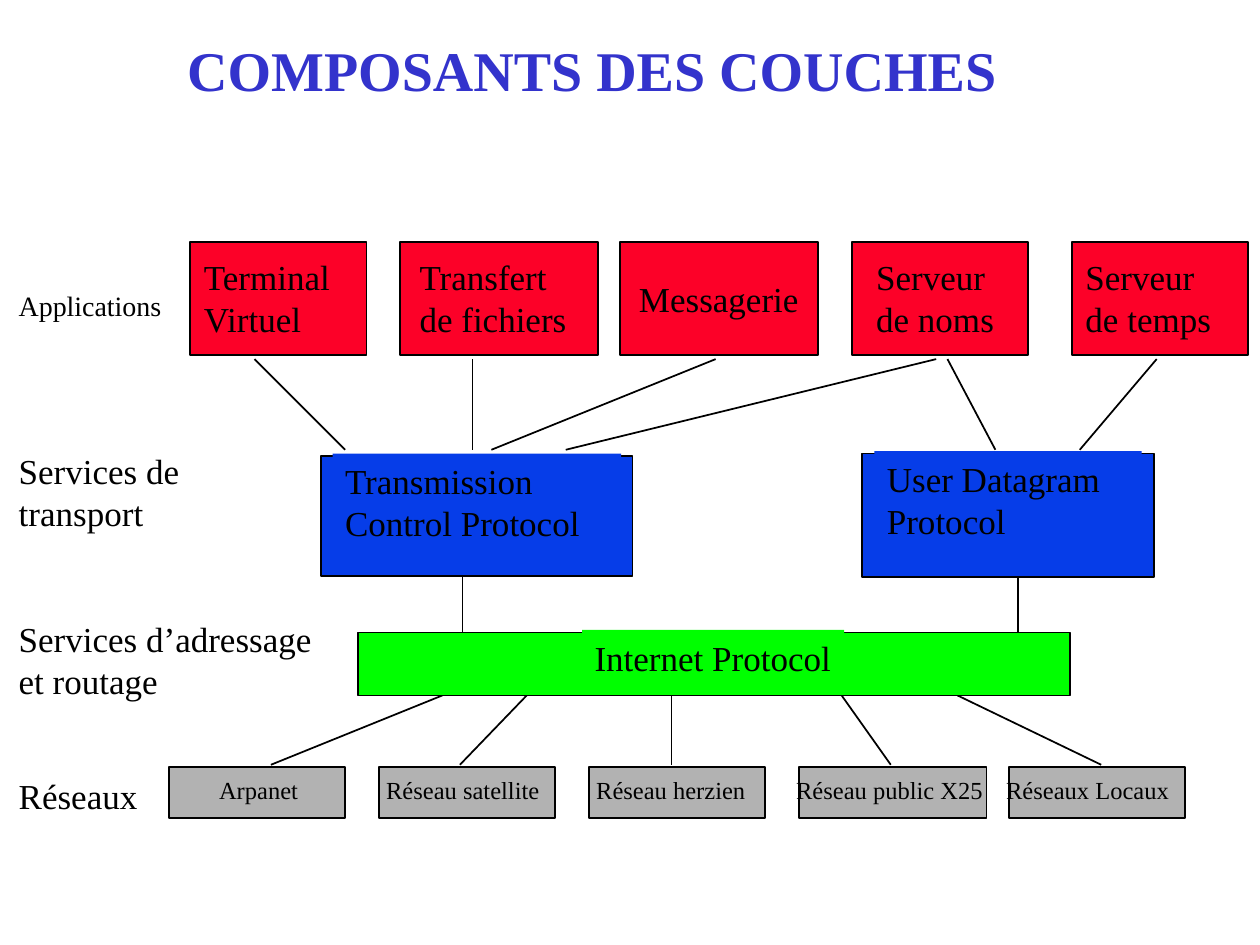
from lxml.etree import SubElement
from pptx import Presentation
from pptx.dml.color import RGBColor
from pptx.enum.shapes import MSO_CONNECTOR, MSO_SHAPE
from pptx.enum.text import MSO_ANCHOR, MSO_AUTO_SIZE, PP_ALIGN
from pptx.oxml.ns import qn
from pptx.util import Inches, Pt

W, H = 10, 7.5
COLUMN = W / 6
FONT = "Times New Roman"
COLORS = {"title": "3333CC", "ink": "000000", "application": "FC0128",
          "transport": "063DE8", "internet": "00FF00", "network": "B2B2B2"}

TITLE = "COMPOSANTS DES COUCHES"

# text, top, width, height, size, wrap
LAYERS = [
    ("Applications", 2.24, 1.35, 0.38, 16, False),
    ("Services de transport", 3.52, 1.62, 0.78, 20, True),
    ("Réseaux", 6.1, 1.15, 0.44, 20, False),
    ("Services d’adressage et routage", 4.85, 2.62, 1.11, 20, True),
]
# text, shift from the column, box width, label width, wrap
APPLICATIONS = [
    ("Terminal Virtuel", 0, 1.4, 1.38, True),
    ("Transfert de fichiers", 0, 1.57, 1.46, True),
    ("Messagerie", 0.08, 1.57, 1.47, False),
    ("Serveur de noms", 0.25, 1.4, 1.21, True),
    ("Serveur de temps", 0.33, 1.4, 1.38, True),
]
# text, box width, label shift from the box, label width, wrap
NETWORKS = [
    ("Arpanet", 1.4, 0.3, 0.84, False),
    ("Réseau satellite", 1.4, -0.04, 1.43, False),
    ("Réseau herzien", 1.4, -0.04, 1.4, False),
    ("Réseau public X25", 1.49, -0.12, 1.69, False),
    ("Réseaux Locaux", 1.4, -0.12, 1.62, True),
]
# text, colour, box (left, top, width, height), label (left, width, height), wrap
PROTOCOLS = [
    ("Internet Protocol", "internet", (2.84, 5.02, 5.65, 0.5), (4.62, 2.08, 0.44), False),
    ("Transmission Control Protocol", "transport", (2.55, 3.62, 2.47, 0.95),
     (2.64, 2.29, 0.78), True),
    ("User Datagram Protocol", "transport", (6.84, 3.6, 2.32, 0.98),
     (6.94, 2.12, 0.78), True),
]
# (top, bottom): pairs of horizontal positions at the two ends
LINKS = {
    (2.85, 3.57): [(2.02, 2.74), (3.75, 3.75), (5.68, 3.9), (7.43, 4.49),
                   (7.52, 7.9), (9.18, 8.57)],
    (4.35, 5.07): [(3.67, 3.67), (8.08, 8.08)],
    (5.52, 6.07): [(3.51, 2.15), (4.18, 3.65), (5.33, 5.33), (6.68, 7.07), (7.6, 8.74)],
}


def rgb(name):
    return RGBColor.from_string(COLORS[name])


def add_box(shapes, at, color):
    sp = shapes.add_shape(MSO_SHAPE.RECTANGLE, *map(Inches, at))
    sp.shadow.inherit = False
    sp.fill.solid()
    sp.fill.fore_color.rgb = rgb(color)
    sp.line.color.rgb = rgb("ink")
    sp.line.width = Pt(1)


def add_label(shapes, text, at, size, wrap=True, fill=None, color="ink"):
    sp = shapes.add_textbox(*map(Inches, at))
    if fill:
        sp.fill.solid()
        sp.fill.fore_color.rgb = rgb(fill)
    tf = sp.text_frame
    tf.word_wrap = wrap
    tf.auto_size = MSO_AUTO_SIZE.SHAPE_TO_FIT_TEXT
    r = tf.paragraphs[0].add_run()
    r.text = text
    r.font.name = FONT
    r.font.size = Pt(size)
    r.font.color.rgb = rgb(color)
    return tf


def add_link(shapes, x1, y1, x2, y2):
    cn = shapes.add_connector(MSO_CONNECTOR.STRAIGHT, *map(Inches, (x1, y1, x2, y2)))
    cn.line.color.rgb = rgb("ink")
    cn.line.width = Pt(1)
    SubElement(cn._element.spPr, qn("a:effectLst"))


def add_title(shapes):
    tf = add_label(shapes, TITLE, (0.95, 0.21, 0.75 * W, 0.67), 32, color="title")
    tf.auto_size = MSO_AUTO_SIZE.NONE
    tf.vertical_anchor = MSO_ANCHOR.MIDDLE
    p = tf.paragraphs[0]
    p.alignment = PP_ALIGN.CENTER
    p.runs[0].font.bold = True


def add_networks(shapes):
    for i, (text, width, shift, label_width, wrap) in enumerate(NETWORKS):
        x = 1.34 + i * COLUMN
        add_box(shapes, (x, 6.09, width, 0.4), "network")
        add_label(shapes, text, (x + shift, 6.1, label_width, 0.34), 14, wrap)


def add_applications(shapes):
    top, height = 1.92, 0.9
    for i, (text, shift, width, label_width, wrap) in enumerate(APPLICATIONS):
        x = 1.51 + i * COLUMN + shift
        label_height = 0.78 if wrap else 0.44
        add_box(shapes, (x, top, width, height), "application")
        add_label(shapes, text,
                  (x + (width - label_width) / 2, top + (height - label_height) / 2,
                   label_width, label_height), 20, wrap, "application")


def add_protocols(shapes):
    for text, color, box, (x, width, height), wrap in PROTOCOLS:
        add_box(shapes, box, color)
        add_label(shapes, text, (x, box[1] - 0.02, width, height), 20, wrap, color)


def main():
    prs = Presentation()
    prs.slide_width, prs.slide_height = Inches(W), Inches(H)
    shapes = prs.slides.add_slide(prs.slide_layouts[6]).shapes
    add_title(shapes)
    add_networks(shapes)
    add_applications(shapes)
    for (top, bottom), ends in LINKS.items():
        for x1, x2 in ends:
            add_link(shapes, x1, top, x2, bottom)
    for text, top, width, height, size, wrap in LAYERS:
        add_label(shapes, text, (0.05, top, width, height), size, wrap)
    add_protocols(shapes)
    prs.save("out.pptx")


if __name__ == "__main__":
    main()
